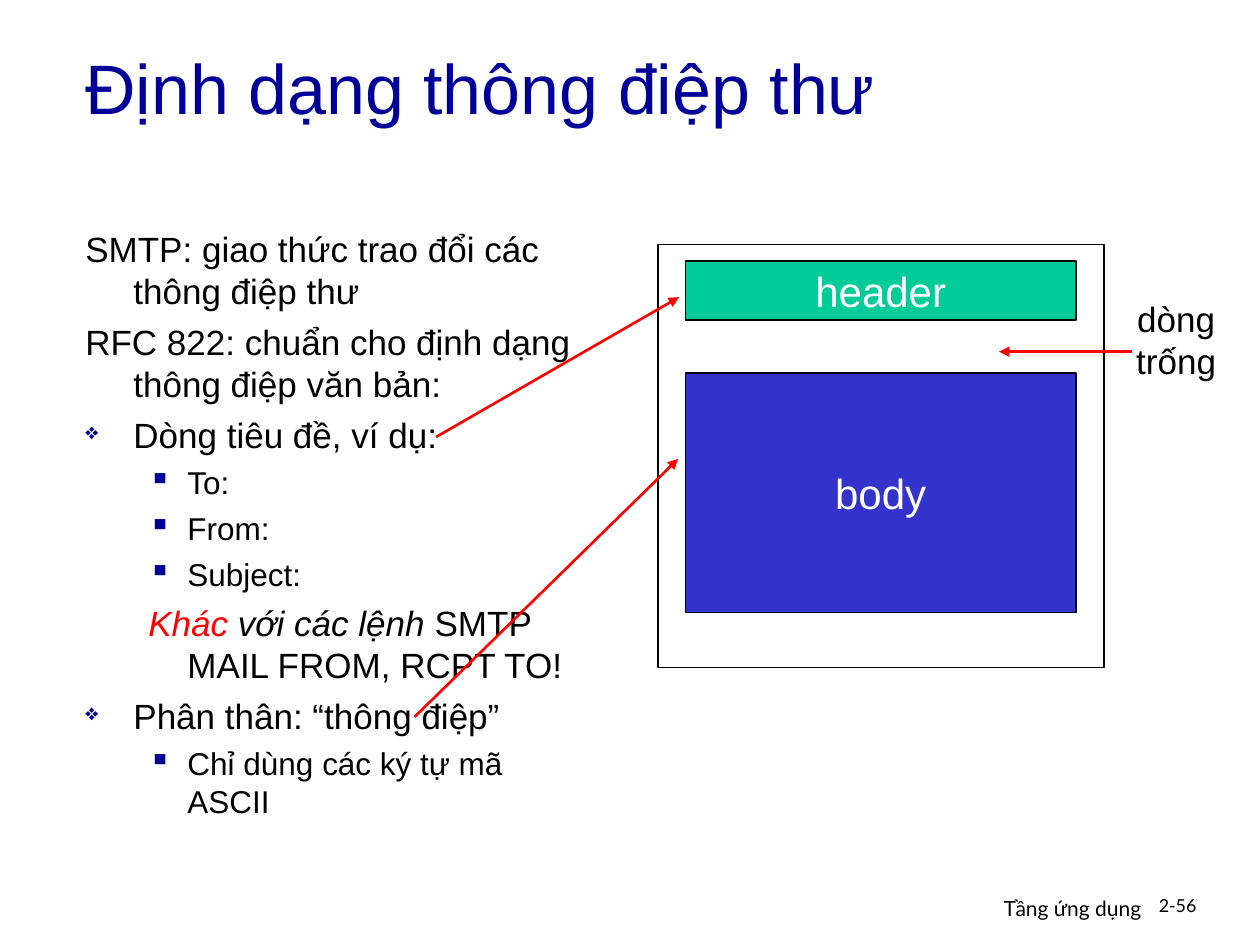
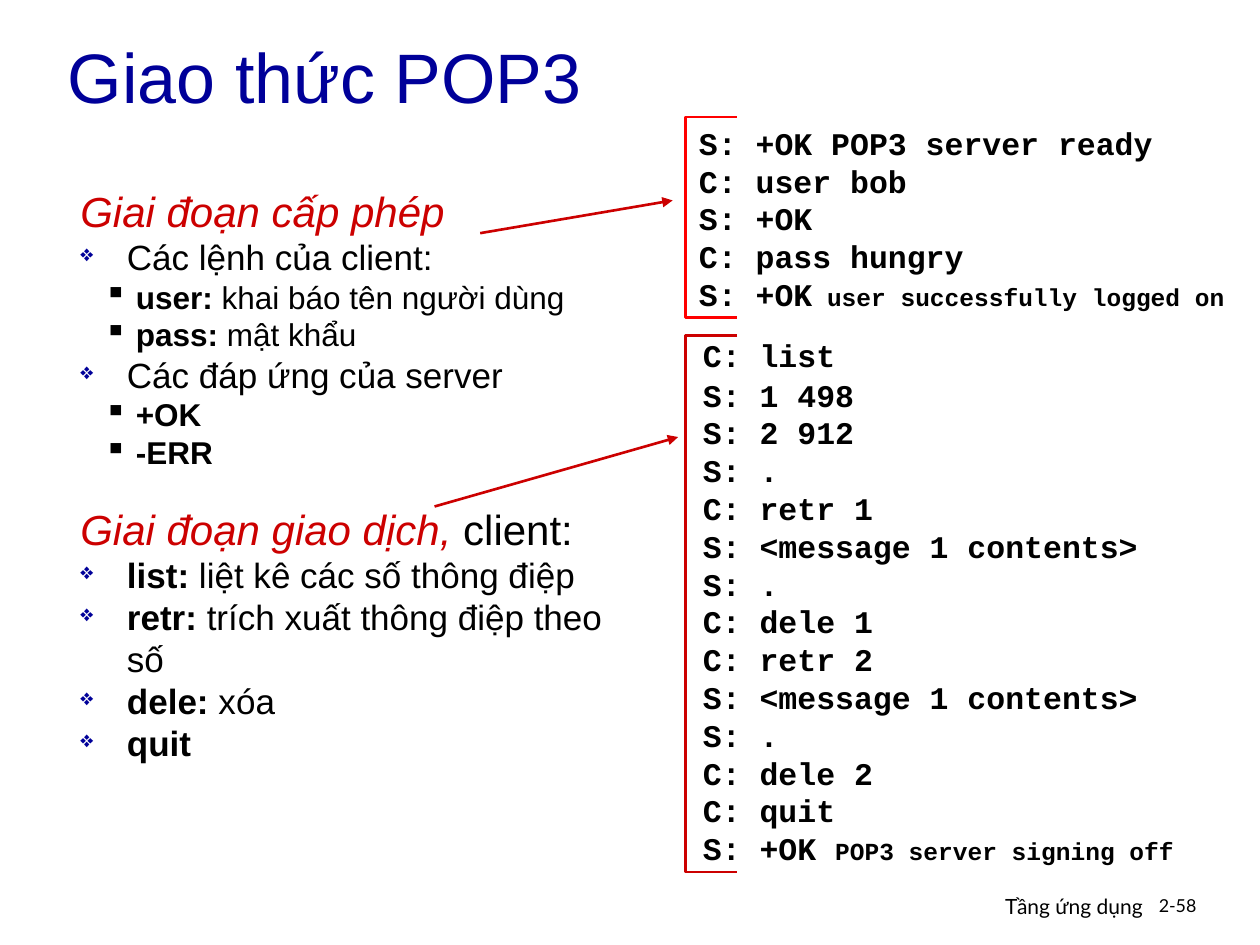
import pptx
import pptx.util
import pptx.dml.color
import pptx.enum.shapes
import pptx.enum.text
import pptx.oxml
import pptx.oxml.ns
from pptx.util import Cm

COLORS = {
    "navy": "000099", "black": "000000", "white": "FFFFFF", "red": "FF0000",
    "crimson": "CC0000", "green": "00CC99", "blue": "3333CC",
}
ALIGN = pptx.enum.text.PP_ALIGN
MIDDLE = pptx.enum.text.MSO_ANCHOR.MIDDLE

FORMAT_LEVELS = {
    "plain": {"indent": (0.97, -0.97), "size": 20, "before": 5},
    "point": {"indent": (0.97, -0.97), "size": 20, "before": 5, "bullet": ("❖", "navy", 65)},
    "detail": {"indent": (2.06, -0.79), "size": 18, "before": 4.5, "bullet": ("▪", "navy", 100)},
    "remark": {"indent": (2.06, -0.79), "size": 20, "before": 5},
}
POP3_LEVELS = {
    "phase": {"indent": (0.94, -0.94), "size": 24, "before": 18.4},
    "point": {"indent": (0.94, -0.94), "size": 20, "bullet": ("❖", "navy", 65)},
    "detail": {"indent": (1.12, -0.64), "size": 18, "bullet": ("▪", "black", 100)},
}
CODE = {"size": 18, "font": "Courier New", "bold": True}
BOLD = {"bold": True}
PHASE = {"italic": True, "color": "crimson"}

FORMAT_OUTLINE = [
    ("plain", ("SMTP: giao thức trao đổi các thông điệp thư", {})),
    ("plain", ("RFC 822: chuẩn cho định dạng thông điệp văn bản:", {})),
    ("point", ("Dòng tiêu đề, ví dụ:", {})),
    ("detail", ("To:", {})),
    ("detail", ("From:", {})),
    ("detail", ("Subject:", {})),
    ("remark", ("Khác ", {"italic": True, "color": "red"}),
     ("với các lệnh ", {"italic": True}), ("SMTP MAIL FROM, RCPT TO!", {})),
    ("point", ("Phân thân: “thông điệp”", {})),
    ("detail", ("Chỉ dùng các ký tự mã ASCII", {})),
]
POP3_OUTLINE = [
    ("phase", ("Giai đoạn cấp phép", PHASE)),
    ("point", ("Các lệnh của client:", {})),
    ("detail", ("user:", BOLD), (" khai báo tên người dùng", {})),
    ("detail", ("pass:", BOLD), (" mật khẩu", {})),
    ("point", ("Các đáp ứng của server", {})),
    ("detail", ("+OK", BOLD)),
    ("detail", ("-ERR", BOLD)),
    ("phase", ("Giai đoạn giao dịch, ", PHASE), ("client:", {})),
    ("point", ("list:", BOLD), (" liệt kê các số thông điệp", {})),
    ("point", ("retr:", BOLD), (" trích xuất thông điệp theo số", {})),
    ("point", ("dele:", BOLD), (" xóa", {})),
    ("point", ("quit", BOLD)),
]
LOGIN_LINES = ["S: +OK POP3 server ready", "C: user bob", "S: +OK", "C: pass hungry"]
MAILBOX_LINES = [
    "C: list", "S: 1 498", "S: 2 912", "S: .", "C: retr 1", "S: <message 1 contents>",
    "S: .", "C: dele 1", "C: retr 2", "S: <message 1 contents>", "S: .", "C: dele 2", "C: quit",
]


class Deck:
    def __init__(self):
        self.presentation = pptx.Presentation()
        self.presentation.slide_width = Cm(25.4)
        self.presentation.slide_height = Cm(19.05)
        self.slide = None

    def color(self, name):
        return pptx.dml.color.RGBColor.from_string(COLORS[name])

    def start(self, title, title_box, footer_at, page):
        self.slide = self.presentation.slides.add_slide(self.presentation.slide_layouts[6])
        self.text((*footer_at, 8.05, 0.79), [[("Tầng ứng dụng", {})]],
                  size=12, font="Lato", align=ALIGN.RIGHT)
        number = self.text((23.11, 17.96, 1.88, 0.76), [[(page, {})]], size=10.2, font="Lato")
        number.paragraphs[0].line_spacing = 0.9
        heading = self.text(title_box, [[(title, {})]], size=40, color="navy")
        heading.vertical_anchor = MIDDLE

    def add_run(self, paragraph, text, size=20, font="Arial", color="black",
                bold=False, italic=False):
        run = paragraph.add_run()
        run.text = text
        run.font.size = pptx.util.Pt(size)
        run.font.name = font
        run.font.bold = bold
        run.font.italic = italic
        run.font.color.rgb = self.color(color)

    def paragraph(self, frame, index):
        return frame.add_paragraph() if index else frame.paragraphs[0]

    def frame(self, box):
        frame = self.slide.shapes.add_textbox(*map(Cm, box)).text_frame
        frame.word_wrap = True
        return frame

    def text(self, box, lines, align=ALIGN.LEFT, **style):
        frame = self.frame(box)
        for index, runs in enumerate(lines):
            paragraph = self.paragraph(frame, index)
            paragraph.alignment = align
            for words, changes in runs:
                self.add_run(paragraph, words, **{**style, **changes})
        return frame

    def bullet(self, properties, mark, color, percent):
        for tag, attribute, value in (("buSzPct", "val", percent * 1000), ("buChar", "char", mark)):
            element = pptx.oxml.parse_xml(
                f'<a:{tag} {pptx.oxml.ns.nsdecls("a")} {attribute}="{value}"/>')
            properties.append(element)
        properties.insert(0, pptx.oxml.parse_xml(
            f'<a:buClr {pptx.oxml.ns.nsdecls("a")}><a:srgbClr val="{COLORS[color]}"/></a:buClr>'))

    def outline(self, box, levels, items):
        frame = self.frame(box)
        for index, (level, *runs) in enumerate(items):
            rule = levels[level]
            paragraph = self.paragraph(frame, index)
            properties = paragraph._p.get_or_add_pPr()
            margin, indent = rule["indent"]
            properties.set("marL", str(Cm(margin)))
            properties.set("indent", str(Cm(indent)))
            if "bullet" in rule:
                self.bullet(properties, *rule["bullet"])
            paragraph.space_before = pptx.util.Pt(rule.get("before", 0) if index else 0)
            for words, changes in runs:
                self.add_run(paragraph, words, size=rule["size"], **changes)

    def transcript(self, box, lines, reply, comment):
        closing = [(reply, {}), (comment, {"size": 14})]
        return self.text(box, [[(line, {})] for line in lines] + [closing], **CODE)

    def outlined(self, shape, color, width):
        shape.shadow.inherit = False
        shape.fill.background()
        shape.line.color.rgb = self.color(color)
        shape.line.width = pptx.util.Pt(width)
        return shape

    def block(self, box, width, label=None, fill=None):
        rectangle = pptx.enum.shapes.MSO_SHAPE.RECTANGLE
        shape = self.outlined(
            self.slide.shapes.add_shape(rectangle, *map(Cm, box)), "black", width)
        if fill:
            shape.fill.solid()
            shape.fill.fore_color.rgb = self.color(fill)
        if label:
            shape.text_frame.vertical_anchor = MIDDLE
            paragraph = shape.text_frame.paragraphs[0]
            paragraph.alignment = ALIGN.CENTER
            self.add_run(paragraph, label, size=24, color="white")

    def bracket(self, left, top, right, bottom, color):
        builder = self.slide.shapes.build_freeform(Cm(right), Cm(top))
        corners = [(left, top), (left, bottom), (right, bottom)]
        builder.add_line_segments([(Cm(x), Cm(y)) for x, y in corners], close=False)
        self.outlined(builder.convert_to_shape(), color, 1.5)

    def arrow(self, start, end, color):
        straight = pptx.enum.shapes.MSO_CONNECTOR.STRAIGHT
        line = self.slide.shapes.add_connector(straight, *map(Cm, start + end))
        line.line.color.rgb = self.color(color)
        line.line.width = pptx.util.Pt(1.5)
        namespace = pptx.oxml.ns.nsdecls("a")
        line.line._get_or_add_ln().append(
            pptx.oxml.parse_xml(f'<a:tailEnd {namespace} type="triangle"/>'))
        line._element.spPr.append(pptx.oxml.parse_xml(f"<a:effectLst {namespace}/>"))


def message_format(deck):
    deck.start("Định dạng thông điệp thư", (1.47, 0.33, 21.59, 2.84), (15.21, 17.93), "2-56")
    deck.outline((1.47, 4.47, 10.59, 12.9), FORMAT_LEVELS, FORMAT_OUTLINE)
    deck.block((13.82, 5.26, 7.87, 1.19), 0.75, "header", "green")
    deck.block((13.82, 7.52, 7.87, 4.83), 0.75, "body", "blue")
    deck.block((13.26, 4.93, 8.99, 8.53), 1)
    deck.arrow((8.79, 8.81), (13.69, 5.99), "red")
    deck.arrow((8.36, 14.45), (13.67, 9.25), "red")
    deck.text((22.58, 5.87, 2.26, 1.96), [[("dòng ", {})], [("trống", {})]], align=ALIGN.CENTER)
    deck.arrow((22.83, 7.09), (20.14, 7.09), "red")


def pop3_protocol(deck):
    deck.start("Giao thức POP3", (1.12, 0.36, 21.59, 2.31), (15.24, 17.88), "2-58")
    deck.outline((1.37, 3.61, 11.46, 13.31), POP3_LEVELS, POP3_OUTLINE)
    mailbox = deck.transcript((13.92, 6.65, 10.5, 10.95), MAILBOX_LINES,
                              "S: +OK ", "POP3 server signing off")
    mailbox.paragraphs[0].space_after = pptx.util.Pt(1)
    deck.transcript((13.84, 2.37, 11.5, 4.11), LOGIN_LINES,
                    "S: +OK", " user successfully logged on")
    deck.bracket(13.82, 2.36, 14.85, 6.4, "red")
    deck.arrow((9.68, 4.7), (13.56, 4.04), "crimson")
    deck.bracket(13.82, 6.76, 14.86, 17.58, "crimson")
    deck.arrow((8.76, 10.21), (13.67, 8.81), "crimson")


def main():
    deck = Deck()
    message_format(deck)
    pop3_protocol(deck)
    deck.presentation.save("out.pptx")


if __name__ == "__main__":
    main()
